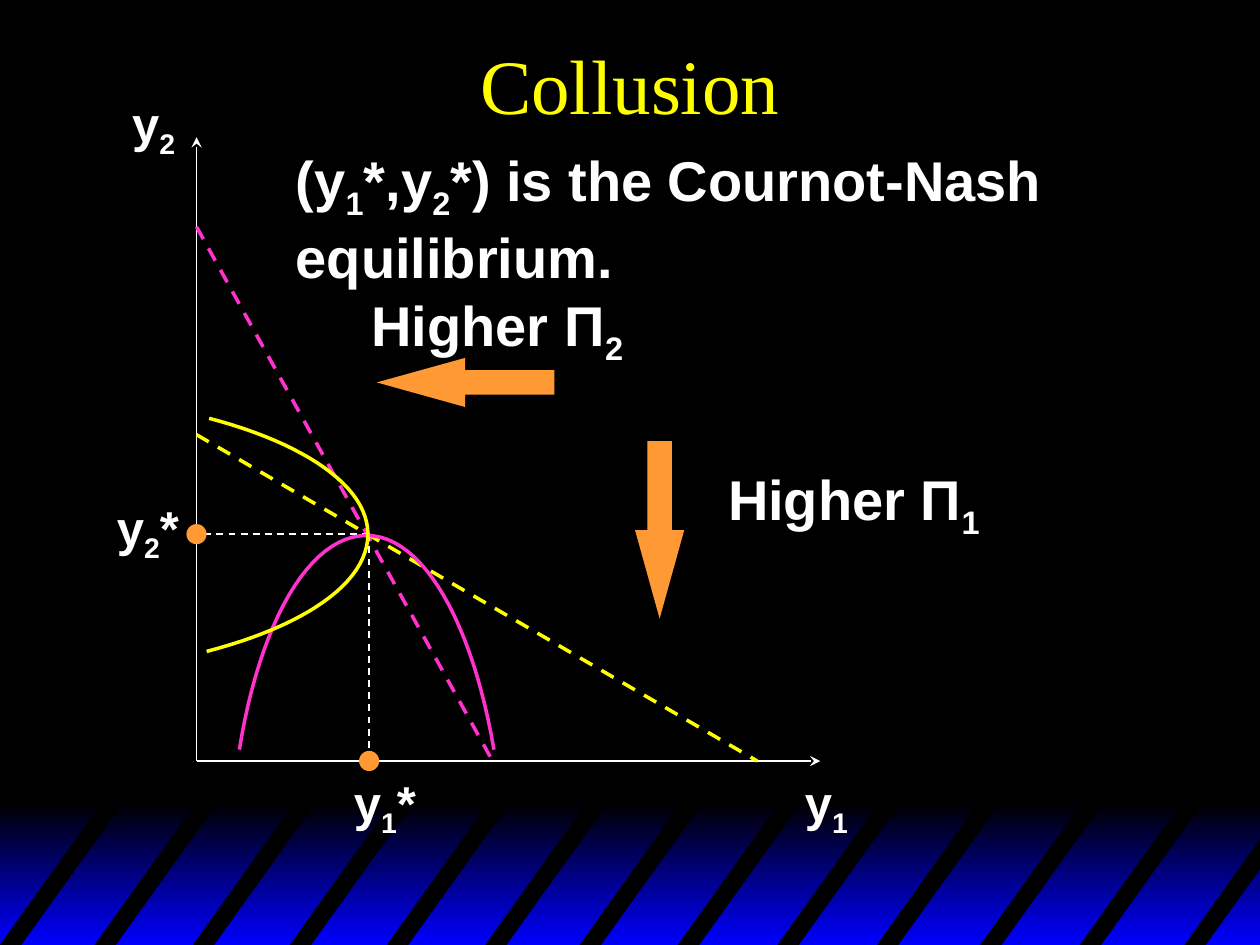
"""Build the Collusion slide: reaction curves and isoprofit curves."""
from lxml.etree import SubElement as Sub
from pptx import Presentation
from pptx.dml.color import RGBColor as RGB
from pptx.enum.dml import MSO_LINE_DASH_STYLE as Dash
from pptx.enum.shapes import MSO_CONNECTOR as Link, MSO_SHAPE as Shape
from pptx.enum.text import MSO_ANCHOR as Anchor, PP_ALIGN as Align
from pptx.oxml.ns import qn
from pptx.util import Inches, Pt

WIDE, HIGH = 10, 7.5
HUES = {"black": "000000", "blue": "0000FF", "white": "FFFFFF",
        "yellow": "FFFF00", "pink": "FF33CC", "orange": "FF9933"}

TITLE = "Collusion"
LABELS = [
    ("y_2", 28, 0.95, 0.69, 0.54, 0.63),
    ("y_1", 28, 6.29, 6.08, 0.54, 0.63),
    ("y_1*", 28, 2.71, 6.08, 0.69, 0.63),
    ("y_2*", 28, 0.83, 3.9, 0.69, 0.63),
    ("(y_1*,y_2*) is the Cournot-Nash\nequilibrium.", 32, 2.25, 1.11, 6.13, 1.24),
    ("Higher Π_2", 32, 2.85, 2.26, 2.23, 0.71),
    ("Higher Π_1", 32, 5.68, 3.64, 2.23, 0.71),
]

LEFT, BASE = 1.56, 6.04
NASH = (2.93, 4.24)
AXES = [((LEFT, 1.09), (LEFT, BASE)), ((6.51, BASE), (LEFT, BASE))]
DASHES = [
    ((LEFT, 1.8), (3.91, BASE), "pink", 2),
    (NASH, (NASH[0], BASE), "white", 1),
    (NASH, (LEFT, NASH[1]), "white", 1),
    ((LEFT, 3.45), (6.01, BASE), "yellow", 2),
]
DOTS = [(NASH[0], BASE), (LEFT, NASH[1])]
DOT = 0.16
CURVES = [
    ("pink", [(1.9, 5.95), (2.06, 4.95), (2.45, 4.25), (2.91, 4.25),
              (3.36, 4.25), (3.75, 4.95), (3.92, 5.95)]),
    ("yellow", [(1.66, 3.32), (2.42, 3.52), (2.92, 3.86), (2.92, 4.24),
                (2.92, 4.63), (2.41, 4.97), (1.64, 5.17)]),
]
ARROWS = [(Shape.LEFT_ARROW, 2.99, 2.84, 1.41, 0.39),
          (Shape.DOWN_ARROW, 5.04, 3.5, 0.39, 1.41)]
STRIPES = [0, 0.75, 1.53, 2.3, 3.07, 3.85, 4.6, 5.38, 6.17, 6.96, 7.78, 8.57, 9.4]
TOP, RUN, THICK = 6.34, 0.83, 0.17


def hue(name):
    return RGB.from_string(HUES[name])


def emu(*nums):
    return [Inches(n) for n in nums]


def plain(shape, name=None):
    shape.shadow.inherit = False
    shape.line.fill.background()
    if name:
        shape.fill.solid()
        shape.fill.fore_color.rgb = hue(name)
    return shape


def trace(shapes, pts, close):
    pts = [emu(*p) for p in pts]
    pen = shapes.build_freeform(*pts[0], scale=1.0)
    pen.add_line_segments(pts[1:], close=close)
    return pen.convert_to_shape()


def bezier(ctrl, steps=24):
    pts = [ctrl[0]]
    for i in range(0, len(ctrl) - 1, 3):
        for t in (n / steps for n in range(1, steps + 1)):
            mix = ((1 - t) ** 3, 3 * t * (1 - t) ** 2, 3 * t * t * (1 - t), t ** 3)
            pts.append(tuple(sum(m * p[k] for m, p in zip(mix, ctrl[i:i + 4]))
                             for k in (0, 1)))
    return pts


def style(font, size, face, name, bold):
    font.size, font.name, font.bold = Pt(size), face, bold
    font.color.rgb = hue(name)


def draw_line(shapes, start, end, name, width, dash=False):
    line = shapes.add_connector(Link.STRAIGHT, *emu(*start, *end))
    Sub(line._element.spPr, qn("a:effectLst"))
    line.line.color.rgb = hue(name)
    line.line.width = Pt(width)
    if dash:
        line.line.dash_style = Dash.DASH
    else:
        Sub(line.line._get_or_add_ln(), qn("a:headEnd"), type="stealth")


def draw_label(shapes, text, size, *box):
    frame = shapes.add_textbox(*emu(*box)).text_frame
    frame.word_wrap = False
    para = frame.paragraphs[0]
    style(para.font, size, "Arial", "white", True)
    for row, line in enumerate(text.split("\n")):
        if row:
            para.add_line_break()
        first, *rest = line.split("_")
        para.add_run().text = first
        for part in rest:
            sub = para.add_run()
            sub.text = part[0]
            sub.font._element.set("baseline", "-25000")
            if part[1:]:
                para.add_run().text = part[1:]


def draw_band(shapes):
    band = plain(shapes.add_shape(Shape.RECTANGLE, *emu(0, 6.38, WIDE, HIGH - 6.38)))
    band.fill.gradient()
    band.fill.gradient_angle = 270
    for stop, name, pos in zip(band.fill.gradient_stops, ("black", "blue"), (0, 1)):
        stop.color.rgb, stop.position = hue(name), pos
    for x in STRIPES:
        near, far = (min(1, (WIDE - e) / RUN) for e in (x, x + THICK))
        pts = [(x, HIGH), (x + RUN * near, HIGH - (HIGH - TOP) * near),
               (x + THICK + RUN * far, HIGH - (HIGH - TOP) * far), (x + THICK, HIGH)]
        plain(trace(shapes, pts, True), "black")


def main():
    deck = Presentation()
    deck.slide_width, deck.slide_height = emu(WIDE, HIGH)
    slide = deck.slides.add_slide(deck.slide_layouts[5])
    slide.background.fill.solid()
    slide.background.fill.fore_color.rgb = hue("black")
    shapes = slide.shapes
    draw_band(shapes)

    title = shapes.title
    title.left, title.top, title.width, title.height = emu(0, 0, WIDE, 1.33)
    title.text_frame.text = TITLE
    title.text_frame.vertical_anchor = Anchor.MIDDLE
    head = title.text_frame.paragraphs[0]
    head.alignment = Align.CENTER
    style(head.font, 44, "Times New Roman", "yellow", False)

    for start, end in AXES:
        draw_line(shapes, start, end, "white", 1)
    for start, end, name, width in DASHES:
        draw_line(shapes, start, end, name, width, True)
    for x, y in DOTS:
        box = emu(x - DOT / 2, y - DOT / 2, DOT, DOT)
        plain(shapes.add_shape(Shape.OVAL, *box), "orange")
    for name, ctrl in CURVES:
        curve = plain(trace(shapes, bezier(ctrl), False))
        curve.fill.background()
        curve.line.color.rgb = hue(name)
        curve.line.width = Pt(2)
    for kind, *box in ARROWS:
        arrow = plain(shapes.add_shape(kind, *emu(*box)), "orange")
        arrow.adjustments[0], arrow.adjustments[1] = 0.5, 1.8
    for label in LABELS:
        draw_label(shapes, *label)
    deck.save("out.pptx")


if __name__ == "__main__":
    main()
